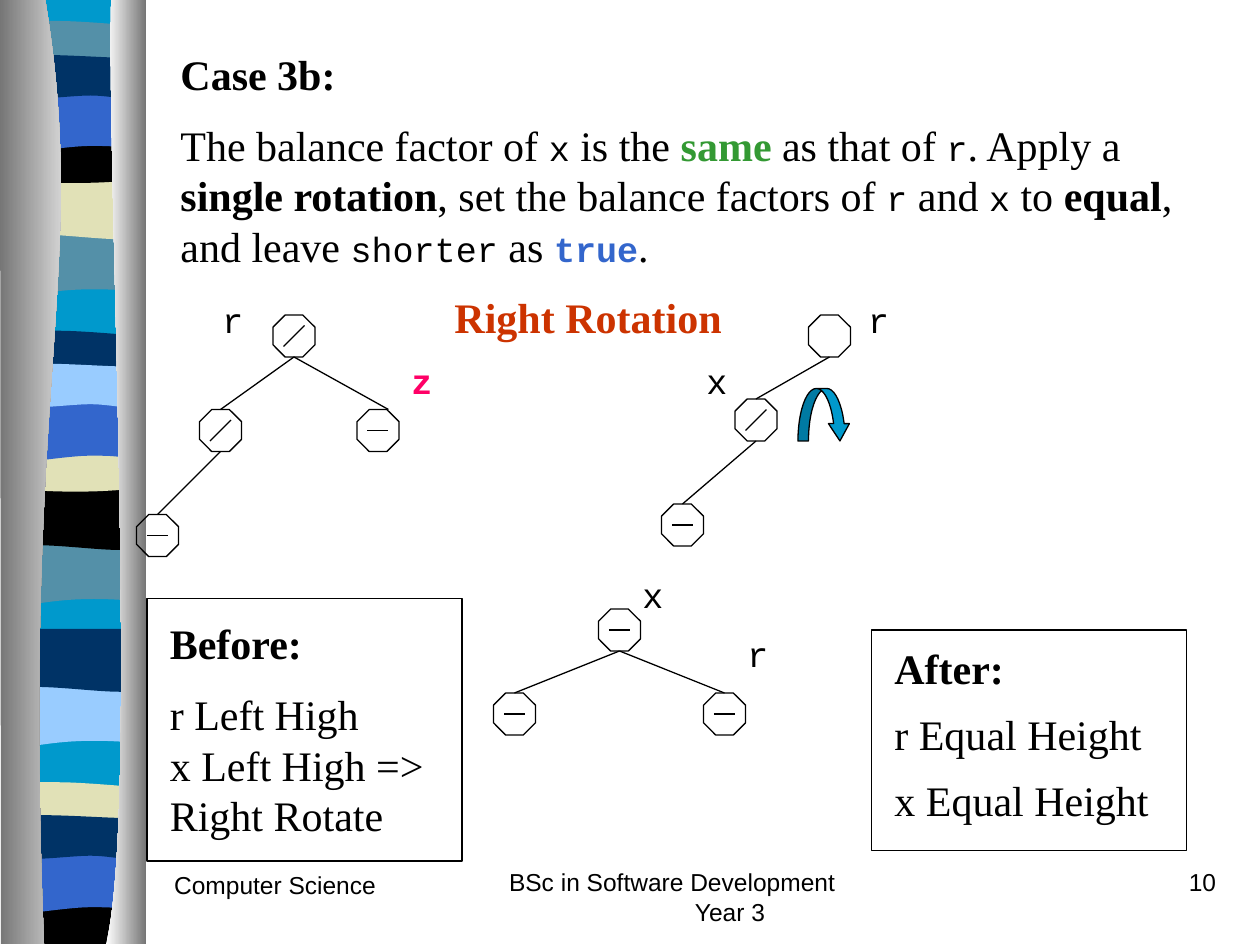
"""Build the AVL tree slide on case 3b, with its right rotation."""
from lxml.etree import SubElement
from pptx import Presentation
from pptx.dml.color import RGBColor as RGB
from pptx.enum.shapes import MSO_CONNECTOR as LINE, MSO_SHAPE as SHAPE
from pptx.enum.text import PP_ALIGN as ALIGN
from pptx.oxml.ns import qn
from pptx.util import Pt

PX = 7620
SERIF, MONO, SANS = "Times New Roman", "Courier New", "Arial"
THEME = {
    "color": {k: RGB.from_string(v) for k, v in {
        "ink": "000000", "navy": "003366", "blue": "3366CC", "sky": "99CCFF",
        "cyan": "0099CC", "teal": "5490A8", "cream": "E1E1B7", "green": "339933",
        "red": "CC3300", "pink": "FF0066", "gray": "767676", "white": "FFFFFF"}.items()},
    "text": {
        "body": (SERIF, 24, False, "ink"), "bold": (SERIF, 24, True, "ink"),
        "same": (SERIF, 24, True, "green"), "head": (SERIF, 24, True, "red"),
        "code": (MONO, 20, False, "ink"), "true": (MONO, 20, True, "blue"),
        "z": (MONO, 20, True, "pink"), "foot": (SANS, 14, False, "ink")},
    "line": Pt(0.75),
}
COLOR = THEME["color"]

prs = Presentation()
prs.slide_width, prs.slide_height = 1200 * PX, 900 * PX
s = prs.slides.add_slide(prs.slide_layouts[6])


def add_outline(segments, dy=0):
    """Draw a closed outline; six numbers make a cubic curve, two a straight line."""
    points = [(seg[i] * PX, (seg[i + 1] + dy) * PX) for seg in segments for i in range(0, len(seg), 2)]
    fb = s.shapes.build_freeform(*points[0], scale=1.0)
    fb.add_line_segments(points[1:], close=True)
    sp = fb.convert_to_shape()
    sp.shadow.inherit = False
    sp.line.fill.background()
    steps = iter(list(sp._element.iter(qn("a:lnTo"))))
    for seg in segments[1:]:
        first = next(steps)
        if len(seg) == 6:
            first.tag = qn("a:cubicBezTo")
            for _ in range(2):
                extra = next(steps)
                first.append(extra[0])
                extra.getparent().remove(extra)
    return sp


def add_text(box, paragraphs, align=ALIGN.LEFT):
    """Add a text box; each paragraph is (formats, tab stops, runs)."""
    tf = s.shapes.add_textbox(*(v * PX for v in box)).text_frame
    tf.word_wrap = True
    for i, (formats, tabs, runs) in enumerate(paragraphs):
        p = tf.paragraphs[0] if i == 0 else tf.add_paragraph()
        for name, value in {"alignment": align, "space_before": Pt(12 if i else 0), **formats}.items():
            setattr(p, name, value)
        if tabs:
            stops = SubElement(p._p.get_or_add_pPr(), qn("a:tabLst"))
            for x in tabs:
                SubElement(stops, qn("a:tab"), pos=str(x * PX), algn="l")
        for text, style in runs:
            if text == "\n":
                p.add_line_break()
                continue
            r = p.add_run()
            r.text = text
            font, size, bold, color = THEME["text"][style]
            for name, value in {"name": font, "size": Pt(size), "bold": bold}.items():
                setattr(r.font, name, value)
            r.font.color.rgb = COLOR[color]


L, R = 6, 136
BANDS = {
    "base": [(R, 0), (R, 897), (L, 897), (L, 0)],
    "slant": [(R, 0), (R, 56), (46, 47, 29, 66, L, 56), (L, 0)],
    "dip": [(R, 0), (R, 57), (115, 66, 47, 50, L, 57), (L, 0)],
    "ribbon": [(R, 6), (R, 35), (115, 40, 29, 40, L, 35), (L, 6),
               (15, 0, 35, 1, 56, 1), (78, 1, 120, 5, R, 6)],
    "cap": [(R, 0), (R, 39), (115, 46, 29, 46, L, 39), (L, 0), (86, 6, 109, 0, R, 0)],
    "foot": [(R, 0), (R, 45), (L, 45), (L, 0), (86, 6, 109, 0, R, 0)],
    "crest": [(R, 0), (R, 57), (116, 50, 108, 50, 86, 50), (65, 50, 26, 57, L, 57), (L, 0)],
    "wave": [(R, 6), (R, 42), (128, 49, 108, 42, 86, 42), (65, 42, 20, 49, L, 42),
             (L, 6), (25, 0, 95, 6, 116, 6), (138, 6, 133, 6, R, 6)],
}
for band, top, color in (
        ("base", -1, "cyan"),
        ("slant", 222, "teal"), ("dip", 168, "cream"), ("ribbon", 19, "teal"),
        ("cap", 130, "ink"), ("crest", 89, "blue"), ("wave", 49, "navy"),
        ("slant", 517, "teal"), ("dip", 464, "ink"), ("ribbon", 314, "navy"),
        ("cap", 424, "cream"), ("crest", 384, "blue"), ("wave", 343, "sky"),
        ("slant", 652, "sky"), ("dip", 599, "navy"), ("ribbon", 744, "cream"),
        ("foot", 854, "ink"), ("crest", 814, "blue"), ("wave", 773, "navy")):
    sp = add_outline(BANDS[band], top)
    sp.fill.solid()
    sp.fill.fore_color.rgb = COLOR[color]

for pillar, colors in (
        ([(43, -1), (86, 259, 20, 355, 42, 899), (1, 899), (0, -1)], ("gray", "white")),
        ([(106, -1), (101, 150, 133, 775, 101, 899), (139, 899), (139, 0)], ("white", "gray"))):
    sp = add_outline(pillar)
    sp.fill.gradient()
    sp.fill.gradient_angle = 0
    for stop, color in zip(sp.fill.gradient_stops, colors):
        stop.color.rgb = COLOR[color]

add_text((154, 823, 250, 60), [({}, (), [("Computer Science", "foot")])])
add_text((473, 820, 380, 60), [({}, (177,), [
    ("BSc in Software Development", "foot"), ("\n", ""), ("\tYear 3", "foot")])])
add_text((920, 820, 250, 60), [({}, (), [("10", "foot")])], ALIGN.RIGHT)

add_text((160, 40, 990, 631), [
    ({}, (), [("Case 3b:", "bold")]),
    ({}, (), [
        ("The balance factor of ", "body"), ("x", "code"), (" is the ", "body"),
        ("same", "same"), (" as that of ", "body"), ("r", "code"),
        (". Apply a ", "body"), ("single rotation", "bold"),
        (", set the balance factors of ", "body"), ("r", "code"), (" and ", "body"),
        ("x", "code"), (" to ", "body"), ("equal", "bold"), (", and leave ", "body"),
        ("shorter", "code"), (" as ", "body"), ("true", "true"), (".", "body")]),
    ({}, (40, 261, 655), [("\tr", "code"), ("\tRight Rotation", "head"), ("\tr", "code")]),
    ({"space_before": Pt(10)}, (220, 501), [("\tz", "z"), ("\tx", "code")]),
    ({"space_before": Pt(98)}, (440,), [("\tx", "code")]),
    ({"space_before": Pt(10)}, (540,), [("\tr", "code")]),
])
add_text((840, 606, 280, 194), [
    ({}, (), [("After:", "bold")]),
    *(({"line_spacing": 0.9}, (), [(f"{node} Equal Height", "body")]) for node in "rx")])
add_text((150, 582, 290, 228), [
    ({}, (), [("Before:", "bold")]),
    ({}, (), [("r Left High", "body"), ("\n", ""), ("x Left High => Right Rotate", "body")])])

NODE = 40
MARKS = {"slash": (30, 10, 10, 30), "dash": (10, 20, 30, 20)}
nodes = [
    (260, 300, "slash"), (190, 390, "slash"), (340, 390, "dash"), (130, 490, "dash"),
    (770, 300, None), (700, 380, "slash"), (630, 480, "dash"),
    (570, 580, "dash"), (470, 660, "dash"), (670, 660, "dash")]
lines = [
    (280, 340, 210, 390), (280, 340, 370, 390), (210, 430, 150, 490),
    (790, 340, 720, 380), (720, 420, 650, 480),
    (590, 620, 490, 660), (590, 620, 690, 660)]
lines += [tuple(o + d for o, d in zip((x, y, x, y), MARKS[m])) for x, y, m in nodes if m]

for kind, box, adjust, fill in (
        (SHAPE.CURVED_DOWN_ARROW, (760, 370, 50, 50), (0.2, 0.4, 0.33), "cyan"),
        *((SHAPE.OCTAGON, (x, y, NODE, NODE), (0.29,), None) for x, y, _ in nodes),
        (SHAPE.RECTANGLE, (140, 570, 300, 250), (), None),
        (SHAPE.RECTANGLE, (830, 600, 300, 210), (), None)):
    sp = s.shapes.add_shape(kind, *(v * PX for v in box))
    sp.shadow.inherit = False
    for i, value in enumerate(adjust):
        sp.adjustments[i] = value
    if fill:
        sp.fill.solid()
        sp.fill.fore_color.rgb = COLOR[fill]
    else:
        sp.fill.background()
    sp.line.color.rgb = COLOR["ink"]
    sp.line.width = THEME["line"]

for ends in lines:
    cx = s.shapes.add_connector(LINE.STRAIGHT, *(v * PX for v in ends))
    cx.line.color.rgb = COLOR["ink"]
    cx.line.width = THEME["line"]
    SubElement(cx._element.spPr, qn("a:effectLst"))

prs.save("out.pptx")
